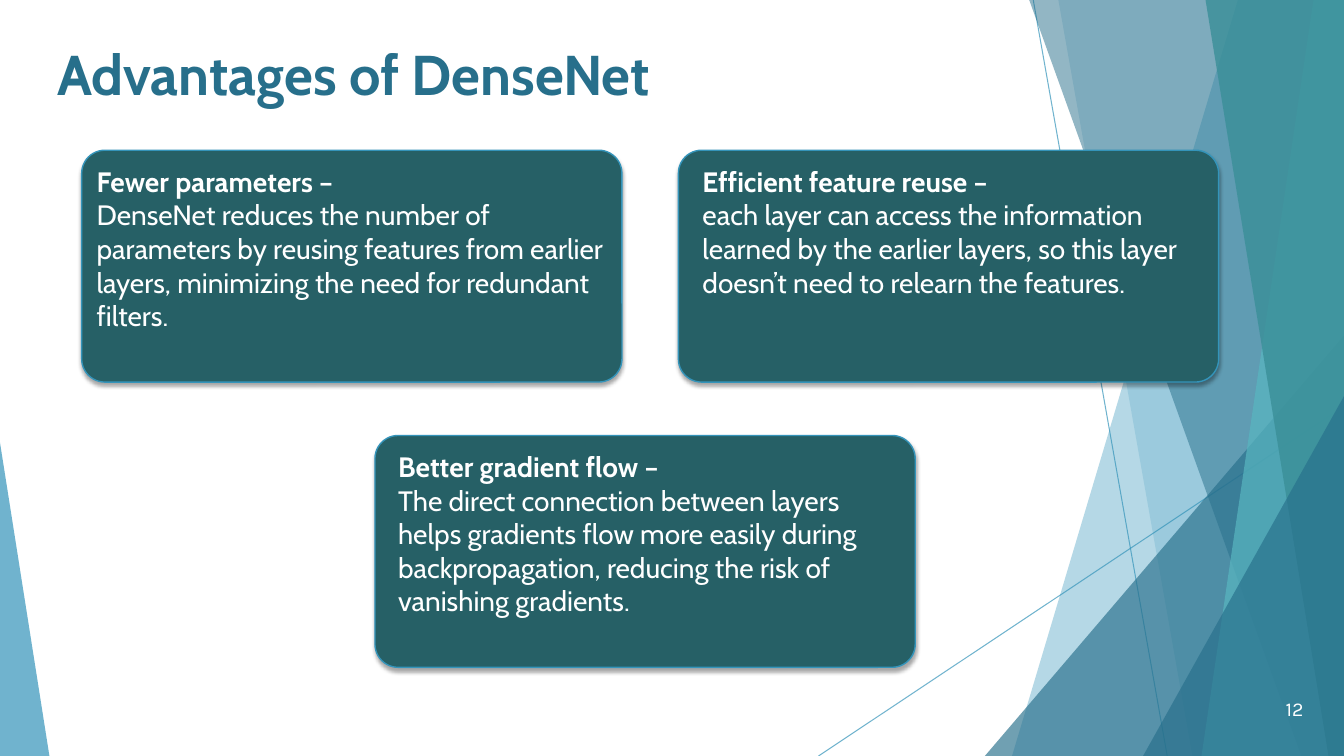
"""Build the slide on the advantages of DenseNet."""
import dataclasses
import typing

import lxml.etree
import pptx
import pptx.dml.color
import pptx.enum.shapes
import pptx.enum.text
import pptx.oxml.ns
import pptx.util

qn = pptx.oxml.ns.qn
KIND = pptx.enum.shapes.MSO_SHAPE
ALIGN = pptx.enum.text.PP_ALIGN
WIDE = pptx.util.Inches(13.333)
HIGH = pptx.util.Inches(7.5)


@dataclasses.dataclass(frozen=True)
class Theme:
    """Colours, fonts and type sizes."""
    blue: str = "3494BA"
    deep: str = "276F8B"
    aqua: str = "58B6C0"
    teal: str = "3A8F98"
    card: str = "266060"[:4] + "66"
    white: str = "FFFFFF"
    black: str = "000000"
    main: str = "Cabin"
    side: str = "Karla"
    title: int = 40
    body: int = 20
    small: int = 14


class Box(typing.NamedTuple):
    """A frame in percent of the slide's width and height."""
    left: float
    top: float
    width: float
    height: float


class Ray(typing.NamedTuple):
    """A thin line between two points."""
    x: float
    y: float
    to_x: float
    to_y: float


class Band(typing.NamedTuple):
    """A pane from a slanted left edge to the right side of the slide."""
    top: float
    base: float
    tint: str
    alpha: int


class Wedge(typing.NamedTuple):
    """A right triangle standing on the lower edge."""
    left: float
    top: float
    width: float
    apex: int
    tint: str
    alpha: int


class Card(typing.NamedTuple):
    """A rounded card with a heading and a body."""
    left: float
    top: float
    text: Box
    head: str
    body: str


LOOK = Theme()
RAYS = [Ray(76.88, 0, 86.85, 100), Ray(100, 53.73, 60.9, 100)]
SHAPES = [
    Band(92.1, 75.3, LOOK.blue, 36),
    Band(78.75, 88.73, LOOK.blue, 20),
    Wedge(73.28, 44.4, 26.72, 1, LOOK.deep, 66),
    Band(76.58, 96.83, LOOK.deep, 50),
    Band(97.73, 89.4, LOOK.aqua, 70),
    Band(89.7, 98.85, LOOK.teal, 80),
    Wedge(85.05, 52.4, 14.95, 1, LOOK.deep, 66),
    Wedge(0, 58.53, 3.68, 0, LOOK.blue, 70),
]
CARDS = [
    Card(50.48, 19.87, Box(51.53, 21.07, 38.85, 19.33), "Efficient feature reuse –",
         "each layer can access the information learned by the earlier layers, "
         "so this layer doesn’t need to relearn the features."),
    Card(6.08, 19.87, Box(6.45, 21.07, 40.35, 23.73), "Fewer parameters –",
         "DenseNet reduces the number of parameters by reusing features from "
         "earlier layers, minimizing the need for redundant filters."),
    Card(27.9, 57.6, Box(28.88, 58.8, 38.85, 23.73), "Better gradient flow –",
         "The direct connection between layers helps gradients flow more easily "
         "during backpropagation, reducing the risk of vanishing gradients."),
]


def across(share: float) -> int:
    """Turn a percent of the width into a length."""
    return round(WIDE * share / 100)


def down(share: float) -> int:
    """Turn a percent of the height into a length."""
    return round(HIGH * share / 100)


def place(box: Box) -> tuple[int, int, int, int]:
    """Give the lengths of a frame."""
    return across(box.left), down(box.top), across(box.width), down(box.height)


def color(tint: str) -> pptx.dml.color.RGBColor:
    """Read a colour."""
    return pptx.dml.color.RGBColor.from_string(tint)


def fade(shape: typing.Any, alpha: int) -> None:
    """Make the colours of a shape see-through."""
    for tag in list(shape.element.spPr.iter(qn("a:srgbClr"))):
        lxml.etree.SubElement(tag, qn("a:alpha"), val=str(alpha * 1000))


def paint(shape: typing.Any, tint: str) -> None:
    """Fill a shape plainly, with no line or shadow."""
    shape.shadow.inherit = False
    shape.fill.solid()
    shape.fill.fore_color.rgb = color(tint)
    shape.line.fill.background()


def edge(line: typing.Any, points: float) -> None:
    """Set a blue line of the given width."""
    line.color.rgb = color(LOOK.blue)
    line.width = pptx.util.Pt(points)


def draw_ray(shapes: typing.Any, ray: Ray) -> None:
    """Draw a thin line."""
    line = shapes.add_connector(
        pptx.enum.shapes.MSO_CONNECTOR.STRAIGHT,
        across(ray.x), down(ray.y), across(ray.to_x), down(ray.to_y))
    edge(line.line, 0.75)
    fade(line, 70)
    lxml.etree.SubElement(line.element.spPr, qn("a:effectLst"))


def draw_shape(shapes: typing.Any, item: Band | Wedge) -> None:
    """Draw a see-through band or wedge."""
    if isinstance(item, Band):
        pen = shapes.build_freeform(across(item.top), 0)
        pen.add_line_segments(
            [(WIDE, 0), (WIDE, HIGH), (across(item.base), HIGH)], close=True)
        shape = pen.convert_to_shape()
    else:
        box = Box(item.left, item.top, item.width, 100 - item.top)
        shape = shapes.add_shape(KIND.ISOSCELES_TRIANGLE, *place(box))
        shape.adjustments[0] = item.apex
    paint(shape, item.tint)
    fade(shape, item.alpha)


def write(shapes: typing.Any, box: Box, lines: list[str], size: int, tint: str,
          face: str, bold: bool, align: ALIGN = ALIGN.LEFT) -> typing.Any:
    """Add a text box whose first line may be bold."""
    frame = shapes.add_textbox(*place(box)).text_frame
    frame.word_wrap = True
    frame.text = "\n".join(lines)
    for rank, para in enumerate(frame.paragraphs):
        para.alignment = align
        para.font.name = face
        para.font.size = pptx.util.Pt(size)
        para.font.bold = bold and rank == 0
        para.font.color.rgb = color(tint)
    return frame


def draw_card(shapes: typing.Any, card: Card) -> None:
    """Draw a card with its shadow and text."""
    box = Box(card.left, card.top, 40.2, 30.67)
    shape = shapes.add_shape(KIND.ROUNDED_RECTANGLE, *place(box))
    shape.adjustments[0] = 0.1
    paint(shape, LOOK.card)
    edge(shape.line, 1)
    shade = lxml.etree.SubElement(
        shape.element.spPr.find(qn("a:effectLst")), qn("a:outerShdw"),
        blurRad=str(pptx.util.Pt(3)), dist=str(pptx.util.Pt(2)),
        dir=str(90 * 60000), rotWithShape="0")
    tag = lxml.etree.SubElement(shade, qn("a:srgbClr"), val=LOOK.black)
    lxml.etree.SubElement(tag, qn("a:alpha"), val="35000")
    frame = write(shapes, card.text, [card.head, card.body],
                  LOOK.body, LOOK.white, LOOK.main, True)
    frame.auto_size = pptx.enum.text.MSO_AUTO_SIZE.SHAPE_TO_FIT_TEXT


def main() -> None:
    """Build and save the slide."""
    deck = pptx.Presentation()
    deck.slide_width, deck.slide_height = WIDE, HIGH
    shapes = deck.slides.add_slide(deck.slide_layouts[6]).shapes
    back = shapes.add_group_shape().shapes
    for ray in RAYS:
        draw_ray(back, ray)
    for item in SHAPES:
        draw_shape(back, item)
    write(shapes, Box(3.53, 4.53, 69.83, 12.93), ["Advantages of DenseNet"],
          LOOK.title, LOOK.deep, LOOK.main, True)
    count = write(shapes, Box(92.1, 91.07, 5.63, 5.33), ["12"],
                  LOOK.small, LOOK.white, LOOK.side, False, ALIGN.RIGHT)
    count.vertical_anchor = pptx.enum.text.MSO_ANCHOR.MIDDLE
    for card in CARDS:
        draw_card(shapes.add_group_shape().shapes, card)
    deck.save("out.pptx")


if __name__ == "__main__":
    main()
